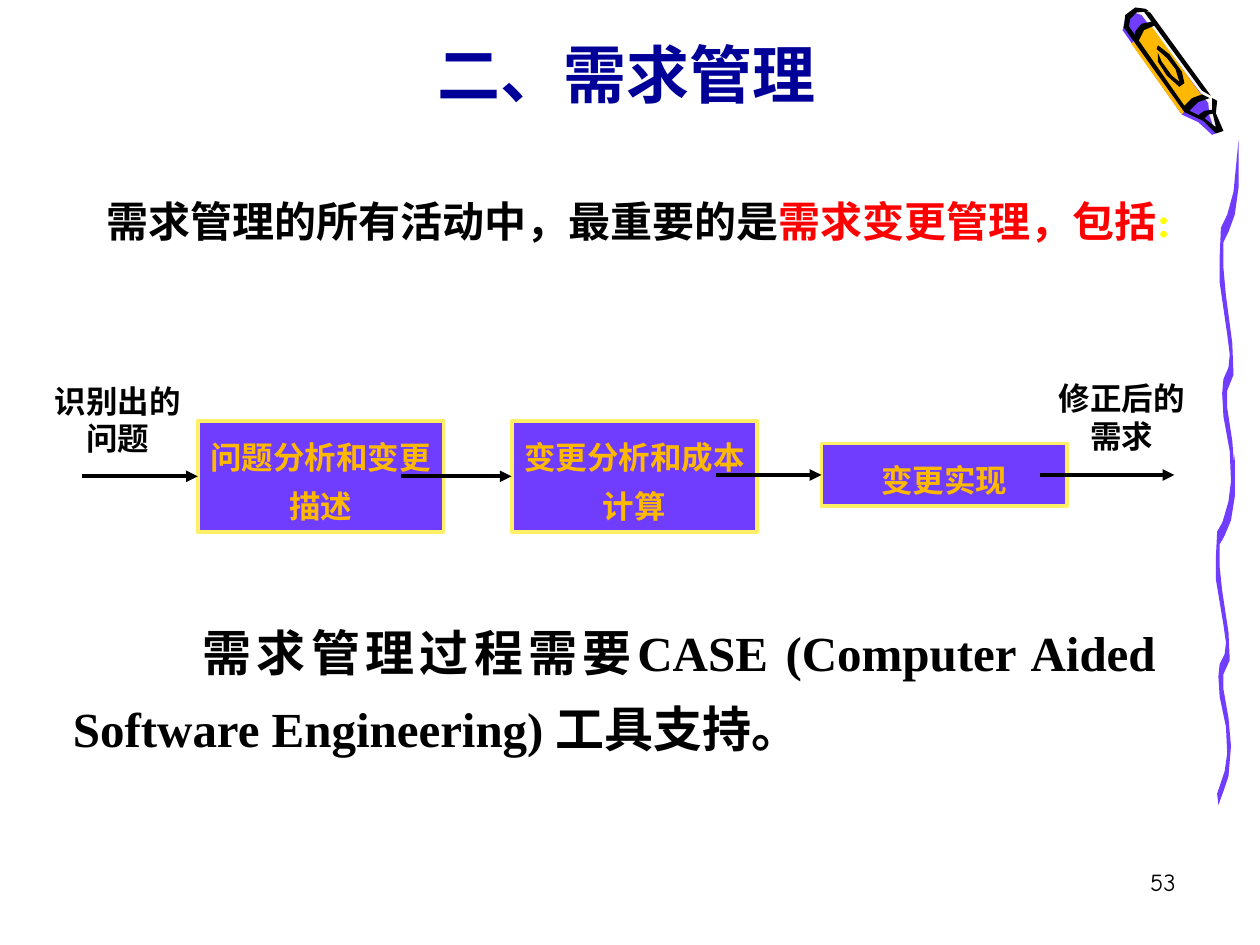
from dataclasses import dataclass

import lxml.etree
import pptx
import pptx.dml.color
import pptx.enum.shapes
import pptx.enum.text
import pptx.oxml
import pptx.oxml.ns
import pptx.util

Inches = pptx.util.Inches
Align = pptx.enum.text.PP_ALIGN
Anchor = pptx.enum.text.MSO_ANCHOR


@dataclass(frozen=True)
class Theme:
    black: str = "000000"
    title: str = "000099"
    red: str = "FF0000"
    yellow: str = "FFFF00"
    violet: str = "703DFF"
    amber: str = "FFB800"
    border: str = "FFEF66"
    highlight: str = "F8F8F8"
    body_font: str = "Times New Roman"
    display_font: str = "Comic Neue"
    title_size: int = 36
    closing_size: int = 28
    lead_size: int = 24
    label_size: int = 18
    number_size: int = 14
    line_width: float = 2.25


THEME = Theme()

SQUIGGLE = [
    (9.66, 6.3), (9.72, 6.12), (9.74, 5.98), (9.73, 5.77), (9.68, 5.53), (9.67, 5.37),
    (9.68, 5.27), (9.72, 5.19), (9.73, 5.1), (9.71, 4.96), (9.65, 4.6), (9.65, 4.42),
    (9.66, 4.22), (9.71, 4.13), (9.76, 3.97), (9.8, 3.61), (9.8, 3.94), (9.77, 4.13),
    (9.72, 4.25), (9.68, 4.32), (9.68, 4.5), (9.7, 4.69), (9.75, 5.02), (9.76, 5.24),
    (9.71, 5.35), (9.71, 5.47), (9.75, 5.7), (9.77, 5.92), (9.75, 6.16), (9.71, 6.28),
    (9.67, 6.39),
]
UPPER_SQUIGGLE = [(x + 0.03, 1.11 + (y - 3.61) * 3.18 / 2.78) for x, y in SQUIGGLE]

CRAYON = [
    (THEME.highlight, [
        (9.68, 1.02), (9.63, 0.88), (9.52, 0.66), (9.09, 0.09), (9.02, 0.07), (8.96, 0.12),
        (8.94, 0.22), (9.41, 0.88), (9.56, 0.95), (9.66, 1.04)]),
    (THEME.violet, [
        (9.06, 0.12), (9.59, 0.82), (9.6, 0.92), (9.65, 1.06), (9.62, 1.07), (9.51, 0.97),
        (9.38, 0.91), (8.91, 0.24), (8.93, 0.15), (9, 0.1)]),
    (THEME.amber, [
        (8.98, 0.35), (9.38, 0.91), (9.46, 0.81), (9.56, 0.79), (9.14, 0.21), (9.05, 0.25)]),
    (THEME.black, [
        (9.63, 0.87), (9.56, 0.88), (9.5, 0.92), (9.56, 0.94), (9.59, 0.91), (9.64, 0.9)]),
    (THEME.black, [
        (9.09, 0.07), (9.01, 0.06), (8.93, 0.12), (8.92, 0.22), (9.4, 0.89), (9.55, 0.96),
        (9.65, 1.06), (9.71, 1.04), (9.65, 0.9), (9.66, 0.8), (9.62, 0.78), (9.62, 0.88),
        (9.65, 1.01), (9.56, 0.94), (9.44, 0.88), (9.51, 0.81), (9.6, 0.78), (9.54, 0.75),
        (9.46, 0.78), (9.4, 0.84), (8.96, 0.21), (8.97, 0.15), (9.02, 0.1), (9.12, 0.09)]),
    (THEME.black, [(9.13, 0.1), (9.61, 0.76), (9.54, 0.72), (9.07, 0.08)]),
    (THEME.black, [
        (9.15, 0.17), (9.06, 0.19), (9.01, 0.25), (9, 0.3), (9.03, 0.34), (9.08, 0.24),
        (9.17, 0.2)]),
    (THEME.black, [
        (9.18, 0.39), (9.26, 0.46), (9.33, 0.55), (9.36, 0.65), (9.3, 0.6), (9.22, 0.49),
        (9.19, 0.42), (9.19, 0.49), (9.26, 0.6), (9.36, 0.69), (9.4, 0.66), (9.38, 0.57),
        (9.28, 0.43), (9.19, 0.36)]),
]


def rgb(color):
    return pptx.dml.color.RGBColor.from_string(color)


def write_text(shape, *parts, size, font=THEME.body_font, color=THEME.black, bold=True,
               align=Align.LEFT, anchor=Anchor.TOP, line_spacing=None, indent=0, side=0.1):
    frame = shape.text_frame
    frame.word_wrap = True
    frame.auto_size = pptx.enum.text.MSO_AUTO_SIZE.NONE
    frame.vertical_anchor = anchor
    frame.margin_left = frame.margin_right = Inches(side)
    frame.margin_top = frame.margin_bottom = Inches(0.05)
    paragraph = frame.paragraphs[0]
    paragraph.alignment = align
    paragraph.line_spacing = line_spacing
    if indent:
        paragraph._p.get_or_add_pPr().set("indent", str(Inches(indent)))
    for part in parts:
        text, run_color = part if isinstance(part, tuple) else (part, color)
        run = paragraph.add_run()
        run.text = text
        run.font.name = font
        run.font.size = pptx.util.Pt(size)
        run.font.bold = bold
        run.font.color.rgb = rgb(run_color)


class SlideBuilder:
    def __init__(self, presentation, theme):
        self.theme = theme
        self.slide = presentation.slides.add_slide(presentation.slide_layouts[5])

    def title(self, text, left, top, width, height):
        shape = self.slide.shapes.title
        shape.left, shape.top = Inches(left), Inches(top)
        shape.width, shape.height = Inches(width), Inches(height)
        write_text(shape, text, size=self.theme.title_size, font=self.theme.display_font,
                   color=self.theme.title, align=Align.CENTER, anchor=Anchor.BOTTOM)

    def text(self, *parts, at, **style):
        shape = self.slide.shapes.add_textbox(*map(Inches, at))
        write_text(shape, *parts, **style)

    def step(self, text, left, top, height):
        shape = self.slide.shapes.add_shape(
            pptx.enum.shapes.MSO_SHAPE.RECTANGLE,
            Inches(left), Inches(top), Inches(1.95), Inches(height))
        shape.shadow.inherit = False
        shape.fill.solid()
        shape.fill.fore_color.rgb = rgb(self.theme.violet)
        shape.line.color.rgb = rgb(self.theme.border)
        shape.line.width = pptx.util.Pt(self.theme.line_width)
        write_text(shape, text, size=self.theme.label_size, color=self.theme.amber,
                   align=Align.CENTER, line_spacing=1.3, side=0.05)
        return shape

    def arrow(self, start, end, y, target=None):
        connector = self.slide.shapes.add_connector(
            pptx.enum.shapes.MSO_CONNECTOR.STRAIGHT,
            Inches(start), Inches(y), Inches(end), Inches(y))
        if target is not None:
            connector.end_connect(target, 1)
        connector.line.color.rgb = rgb(self.theme.black)
        connector.line.width = pptx.util.Pt(self.theme.line_width)
        qualified = pptx.oxml.ns.qn
        line = connector.line._get_or_add_ln()
        lxml.etree.SubElement(line, qualified("a:tailEnd"), type="triangle")
        lxml.etree.SubElement(connector._element.spPr, qualified("a:effectLst"))

    def outline(self, points, color):
        start, *corners = [(Inches(x), Inches(y)) for x, y in points]
        builder = self.slide.shapes.build_freeform(*start)
        builder.add_line_segments(corners, close=True)
        shape = builder.convert_to_shape()
        shape.shadow.inherit = False
        shape.fill.solid()
        shape.fill.fore_color.rgb = rgb(color)
        shape.line.fill.background()


def main():
    presentation = pptx.Presentation()
    presentation.slide_width, presentation.slide_height = Inches(10), Inches(7.5)
    theme = THEME
    builder = SlideBuilder(presentation, theme)

    for points in (SQUIGGLE, UPPER_SQUIGGLE):
        builder.outline(points, theme.violet)
    for color, points in CRAYON:
        builder.outline(points, color)

    builder.title("二、需求管理", 0.65, 0, 8.65, 0.93)
    builder.text("需求管理的所有活动中，最重要的是", ("需求变更管理，包括", theme.red),
                 (":", theme.yellow), at=(0.44, 1.38, 9.27, 1.14),
                 size=theme.lead_size, line_spacing=1.3, indent=0.31)

    analysis = builder.step("问题分析和变更描述", 1.57, 3.34, 0.88)
    costing = builder.step("变更分析和成本计算", 4.06, 3.34, 0.88)
    change = builder.step("变更实现", 6.52, 3.52, 0.5)
    builder.arrow(0.65, 1.57, 3.78, analysis)
    builder.arrow(3.18, 4.06, 3.78, costing)
    builder.arrow(5.68, 6.52, 3.77, change)
    builder.arrow(8.25, 9.32, 3.77)

    for text, left, top in (("识别出的问题", 0.32, 2.98), ("修正后的需求", 8.29, 2.96)):
        builder.text(text, at=(left, top, 1.23, 0.7), size=theme.label_size,
                     align=Align.CENTER)

    builder.text("需求管理过程需要CASE (Computer Aided Software Engineering) 工具支持。",
                 at=(0.48, 4.75, 8.79, 1.32), size=theme.closing_size,
                 align=Align.JUSTIFY, line_spacing=1.3, indent=1.03)
    builder.text("53", at=(7.35, 6.83, 2.08, 0.5), size=theme.number_size,
                 font=theme.display_font, bold=False, align=Align.RIGHT)
    presentation.save("out.pptx")


if __name__ == "__main__":
    main()
